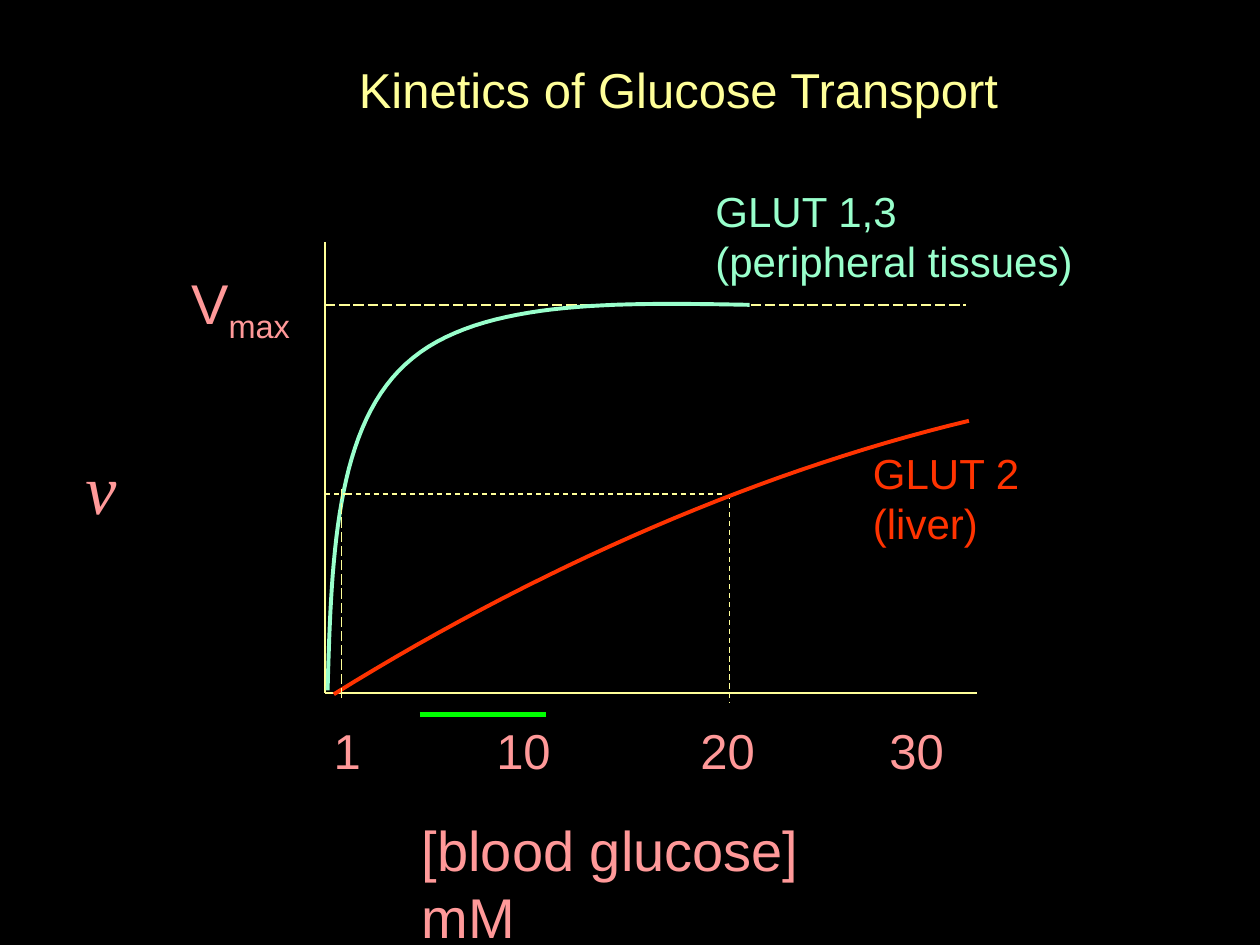
from pptx import Presentation
from pptx.dml.color import RGBColor
from pptx.enum.dml import MSO_LINE
from pptx.enum.shapes import MSO_CONNECTOR
from pptx.oxml.ns import qn
from pptx.util import Inches, Pt
from lxml import etree

BLACK = RGBColor(0x00, 0x00, 0x00)
YELLOW = RGBColor(0xFF, 0xFF, 0x99)
PINK = RGBColor(0xFF, 0x99, 0x99)
MINT = RGBColor(0x99, 0xFF, 0xCC)
RED = RGBColor(0xFF, 0x33, 0x00)
GREEN = RGBColor(0x00, 0xFF, 0x00)
DASH, LONG_DASH = MSO_LINE.DASH, MSO_LINE.LONG_DASH
STRAIGHT = MSO_CONNECTOR.STRAIGHT

# Graph landmarks, in inches
AXIS_X, AXIS_Y = 2.58, 5.5
VMAX_Y, HALF_Y = 2.42, 3.92

# start, end, colour, width in points, dash
AXES_AND_GUIDES = [
    ((AXIS_X, 1.92), (AXIS_X, AXIS_Y), YELLOW, 0.75, None),
    ((AXIS_X, AXIS_Y), (7.75, AXIS_Y), YELLOW, 0.75, None),
    ((AXIS_X, VMAX_Y), (7.67, VMAX_Y), YELLOW, 0.75, LONG_DASH),
    ((2.75, HALF_Y), (5.75, HALF_Y), YELLOW, 0.75, DASH),
    ((5.79, HALF_Y), (5.79, 5.58), YELLOW, 0.75, DASH),
]
FRONT_LINES = [
    ((3.33, 5.67), (4.33, 5.67), GREEN, 3, None),
    ((2.71, 5.54), (2.71, 3.87), YELLOW, 0.75, LONG_DASH),
    ((AXIS_X, HALF_Y), (2.75, HALF_Y), YELLOW, 0.75, DASH),
]

# Bezier control points: start, then three points for each segment
CURVES = [
    ([(2.6, 5.48), (2.63, 4.44), (2.66, 3.4), (3.22, 2.89),
      (3.77, 2.38), (4.86, 2.4), (5.95, 2.42)], MINT),
    ([(7.69, 3.34), (6.06, 3.73), (4.31, 4.48), (2.65, 5.51)], RED),
]

# box, paragraphs, size, colour, wrap
LABELS = [
    ((3.25, 6.42, 3.9, 1.17), ["[blood glucose] mM"], 32, PINK, True),
    ((5.58, 1.42, 3.04, 0.9), ["GLUT 1,3", "(peripheral tissues)"], 24, MINT, False),
    ((6.83, 3.5, 1.37, 0.9), ["GLUT 2", "(liver)"], 24, RED, False),
    ((2.75, 0.42, 5.31, 0.57), ["Kinetics of Glucose Transport"], 28, YELLOW, False),
]
TICKS = ["1", "10", "20", "30"]
TICK_STOPS = [1.29, 2.91, 4.41]


def add_line(slide, start, end, color, width, dash):
    line = slide.shapes.add_connector(STRAIGHT, *map(Inches, start + end))
    line.line.color.rgb = color
    line.line.width = Pt(width)
    if dash is not None:
        line.line.dash_style = dash
    etree.SubElement(line._element.spPr, qn("a:effectLst"))


def bezier_points(controls, steps=30):
    points = [controls[0]]
    for first in range(0, len(controls) - 1, 3):
        segment = controls[first:first + 4]
        for step in range(1, steps + 1):
            t = step / steps
            weights = ((1 - t) ** 3, 3 * t * (1 - t) ** 2, 3 * t * t * (1 - t), t ** 3)
            points.append(tuple(
                sum(weight * point[axis] for weight, point in zip(weights, segment))
                for axis in (0, 1)))
    return points


def add_curve(slide, controls, color):
    points = [(Inches(x), Inches(y)) for x, y in bezier_points(controls)]
    builder = slide.shapes.build_freeform(*points[0])
    builder.add_line_segments(points[1:], close=False)
    curve = builder.convert_to_shape()
    curve.shadow.inherit = False
    curve.fill.background()
    curve.line.color.rgb = color
    curve.line.width = Pt(2.25)


def add_text_box(slide, box, wrap=False):
    frame = slide.shapes.add_textbox(*map(Inches, box)).text_frame
    frame.word_wrap = wrap
    return frame


def add_run(paragraph, text, size, color, font="Arial"):
    run = paragraph.add_run()
    run.text = text
    run.font.name = font
    run.font.size = Pt(size)
    run.font.color.rgb = color
    return run


presentation = Presentation()
presentation.slide_width, presentation.slide_height = Inches(10), Inches(7.5)
slide = presentation.slides.add_slide(presentation.slide_layouts[6])
slide.background.fill.solid()
slide.background.fill.fore_color.rgb = BLACK

# Graph
for line in AXES_AND_GUIDES:
    add_line(slide, *line)
for controls, color in CURVES:
    add_curve(slide, controls, color)
for line in FRONT_LINES:
    add_line(slide, *line)

# Title, curve names and x-axis title
for box, texts, size, color, wrap in LABELS:
    frame = add_text_box(slide, box, wrap)
    for index, text in enumerate(texts):
        paragraph = frame.add_paragraph() if index else frame.paragraphs[0]
        add_run(paragraph, text, size, color)

# Vmax with its subscript
paragraph = add_text_box(slide, (1.42, 2.08, 1.05, 0.63)).paragraphs[0]
add_run(paragraph, "V", 32, PINK)
subscript = add_run(paragraph, "max", 32, PINK)
subscript.font._element.set("baseline", "-25000")

# Velocity symbol
paragraph = add_text_box(slide, (0.58, 3.48, 0.45, 0.77)).paragraphs[0]
add_run(paragraph, "v", 40, PINK, "Times New Roman").font.italic = True

# Concentration ticks, set on tab stops
paragraph = add_text_box(slide, (2.55, 5.67, 6.42, 0.57), True).paragraphs[0]
tab_list = etree.SubElement(paragraph._p.get_or_add_pPr(), qn("a:tabLst"))
for stop in TICK_STOPS:
    etree.SubElement(tab_list, qn("a:tab"), pos=str(Inches(stop)), algn="l")
add_run(paragraph, "\t".join(TICKS), 28, PINK)

presentation.save("out.pptx")
